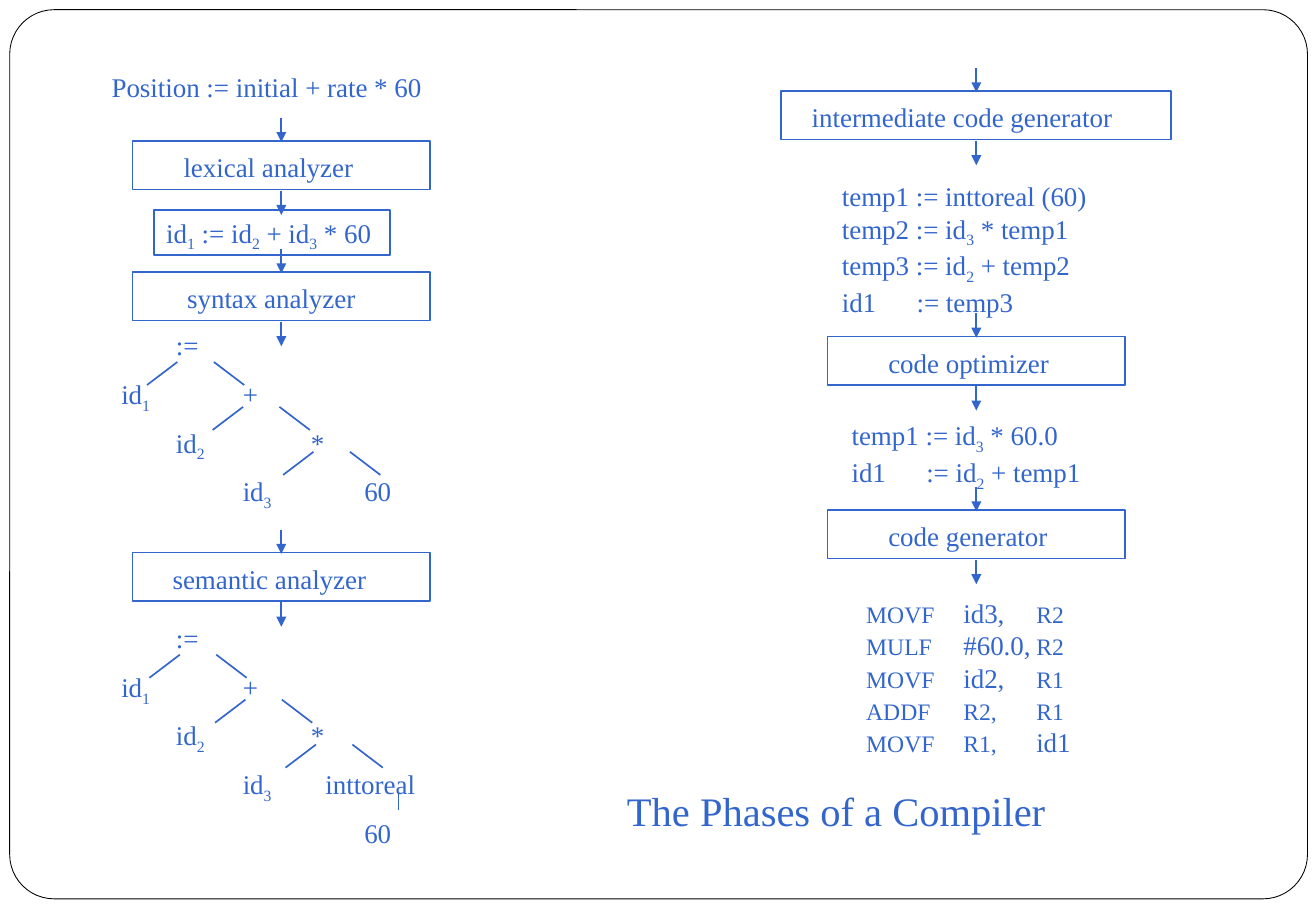
from collections.abc import Iterator
from dataclasses import dataclass

from pptx import Presentation
from pptx.dml.color import RGBColor
from pptx.enum.shapes import MSO_CONNECTOR, MSO_SHAPE
from pptx.enum.text import MSO_ANCHOR, MSO_AUTO_SIZE, PP_ALIGN
from pptx.oxml.ns import qn
from pptx.oxml.xmlchemy import OxmlElement
from pptx.shapes.autoshape import Shape
from pptx.slide import Slide
from pptx.text.text import TextFrame
from pptx.util import Emu, Inches, Pt

RECTANGLE, ROUNDED = MSO_SHAPE.RECTANGLE, MSO_SHAPE.ROUNDED_RECTANGLE
STRAIGHT = MSO_CONNECTOR.STRAIGHT
TOP, LEFT = MSO_ANCHOR.TOP, PP_ALIGN.LEFT
NO_AUTOFIT = MSO_AUTO_SIZE.NONE

COLORS = {"ink": "3366CC", "frame": "000000"}
FONT = "Times New Roman"
BODY_SIZE, REGISTER_SIZE, TITLE_SIZE = 16, 14, 24

# The page is a grid of square cells, 108.3 columns by 75 rows.
CELL = Inches(0.1)
COLUMNS, ROWS = 108.3, 75
PHASE_HEIGHT = 4
ARROW_LENGTH = 2
NODE_PITCH = 4
FORK_PITCH = 3.7


@dataclass(frozen=True)
class Span:
    text: str
    size: int = BODY_SIZE
    subscript: bool = False


@dataclass(frozen=True)
class Phase:
    name: str
    column: float
    row: float
    indent: float
    width: float = 24.5


@dataclass(frozen=True)
class Listing:
    lines: tuple[str, ...]
    column: float
    row: float
    width: float
    tabs: tuple[float, ...] = ()


@dataclass(frozen=True)
class Node:
    label: str
    column: float
    level: int


PHASES = (
    Phase("lexical analyzer", 10.9, 11.6, 4.2),
    Phase("syntax analyzer", 10.9, 22.4, 4.5),
    Phase("semantic analyzer", 10.9, 45.5, 3.3),
    Phase("intermediate code generator", 64.3, 7.5, 2.5, 32.1),
    Phase("code optimizer", 68.1, 27.7, 5),
    Phase("code generator", 68.1, 42, 5),
)

# An underscore lowers the character after it.
LISTINGS = (
    Listing(("Position := initial + rate * 60",), 8.2, 5.3, 30),
    Listing(("temp1 := inttoreal (60)", "temp2 := id_3 * temp1",
             "temp3 := id_2 + temp2", "id1\t:= temp3"), 68.3, 14.3, 25, (6.15,)),
    Listing(("temp1 := id_3 * 60.0", "id1\t:= id_2 + temp1"), 69.1, 34, 24, (6.15,)),
    Listing(("MOVF\tid3,\tR2", "MULF\t#60.0,\tR2", "MOVF\tid2,\tR1",
             "ADDF\tR2,\tR1", "MOVF\tR1,\tid1"), 70.3, 48.6, 21, (8, 14)),
)

SHARED_NODES = (
    Node(":=", 13.5, 0), Node("id_1", 9, 1), Node("+", 19, 1),
    Node("id_2", 13.5, 2), Node("*", 24.6, 2), Node("id_3", 19, 3),
)
SYNTAX_NODES = SHARED_NODES + (Node("60", 29, 3),)
SEMANTIC_NODES = SHARED_NODES + (Node("inttoreal", 25.8, 3), Node("60", 29, 4))
FORK_COLUMNS = (14.6, 20, 25.8)


def cells(count: float) -> Emu:
    return Emu(round(count * CELL))


def color(name: str) -> RGBColor:
    return RGBColor.from_string(COLORS[name])


def parse_line(line: str) -> Iterator[Span]:
    """Split a line into tabs, subscripts and fields; all-capital fields are smaller."""
    for position, field in enumerate(line.split("\t")):
        if position:
            yield Span("\t")
        size = REGISTER_SIZE if field.isupper() else BODY_SIZE
        for index, piece in enumerate(field.split("_")):
            if index:
                yield Span(piece[0], size, True)
                piece = piece[1:]
            if piece:
                yield Span(piece, size)


def write_lines(frame: TextFrame, lines: tuple[str, ...], tabs: tuple[float, ...] = ()) -> None:
    frame.word_wrap = True
    frame.vertical_anchor = TOP
    for index, line in enumerate(lines):
        paragraph = frame.add_paragraph() if index else frame.paragraphs[0]
        paragraph.alignment = LEFT
        if tabs:
            tab_list = OxmlElement("a:tabLst")
            for tab in tabs:
                stop = OxmlElement("a:tab")
                stop.set("pos", str(cells(tab)))
                stop.set("algn", "l")
                tab_list.append(stop)
            paragraph._p.get_or_add_pPr().append(tab_list)
        for span in parse_line(line):
            run = paragraph.add_run()
            run.text = span.text
            run.font.name = FONT
            run.font.size = Pt(span.size)
            run.font.color.rgb = color("ink")
            if span.subscript:
                run._r.get_or_add_rPr().set("baseline", "-25000")


def add_outline(page: Slide, kind: MSO_SHAPE, column: float, row: float, width: float,
                height: float, line_color: str = "ink", weight: float = 1) -> Shape:
    box = page.shapes.add_shape(kind, cells(column), cells(row), cells(width), cells(height))
    box.shadow.inherit = False
    box.fill.background()
    box.line.color.rgb = color(line_color)
    box.line.width = Pt(weight)
    return box


def add_line(page: Slide, start: tuple[float, float], end: tuple[float, float],
             arrow: bool = False) -> None:
    line = page.shapes.add_connector(STRAIGHT, *map(cells, start + end))
    line.line.color.rgb = color("ink")
    line.line.width = Pt(1)
    if arrow:
        head = OxmlElement("a:tailEnd")
        head.set("type", "triangle")
        line._element.spPr.find(qn("a:ln")).append(head)
    line._element.spPr.append(OxmlElement("a:effectLst"))


def add_listing(page: Slide, listing: Listing) -> None:
    height = 1 + 2.7 * len(listing.lines)
    box = page.shapes.add_textbox(cells(listing.column), cells(listing.row),
                                  cells(listing.width), cells(height))
    write_lines(box.text_frame, listing.lines, listing.tabs)


def add_phase(page: Slide, phase: Phase) -> None:
    """Draw a phase box with an arrow into it and an arrow out of it."""
    box = add_outline(page, RECTANGLE, phase.column, phase.row, phase.width, PHASE_HEIGHT)
    box.text_frame.margin_left = cells(phase.indent)
    box.text_frame.margin_top = cells(0.8)
    write_lines(box.text_frame, (phase.name,))
    center = phase.column + phase.width / 2
    for start in (phase.row - 1.9, phase.row + PHASE_HEIGHT + 0.1):
        add_line(page, (center, start), (center, start + ARROW_LENGTH), arrow=True)


def add_tree(page: Slide, nodes: tuple[Node, ...], row: float, fork_shift: float) -> None:
    for node in nodes:
        add_listing(page, Listing((node.label,), node.column, row + node.level * NODE_PITCH, 11))
    for level, column in enumerate(FORK_COLUMNS):
        left, top = column + fork_shift, row + 3.2 + level * FORK_PITCH
        add_line(page, (left, top), (left - 2.5, top + 1.9))
        add_line(page, (left + 3, top), (left + 5.5, top + 1.9))


def add_title(page: Slide) -> None:
    title = page.shapes.title
    title.left, title.top, title.width, title.height = map(cells, (50.6, 64.2, 40, 5))
    frame = title.text_frame
    frame.text = "The Phases of a Compiler"
    frame.auto_size = NO_AUTOFIT
    frame.word_wrap = True
    frame.vertical_anchor = TOP
    frame.paragraphs[0].alignment = LEFT
    font = frame.paragraphs[0].runs[0].font
    font.name, font.size = FONT, Pt(TITLE_SIZE)
    font.color.rgb = color("ink")


def main() -> None:
    deck = Presentation()
    deck.slide_width, deck.slide_height = cells(COLUMNS), cells(ROWS)
    page = deck.slides.add_slide(deck.slide_layouts[5])
    add_title(page)
    border = add_outline(page, ROUNDED, 0.8, 0.8, COLUMNS - 1.5, ROWS - 1.8, "frame", 0.5)
    border.adjustments[0] = 0.05
    for phase in PHASES:
        add_phase(page, phase)
    for listing in LISTINGS:
        add_listing(page, listing)
    tokens = add_outline(page, RECTANGLE, 12.7, 17.3, 19.4, 3.7)
    write_lines(tokens.text_frame, ("id_1 := id_2 + id_3 * 60",))
    add_tree(page, SYNTAX_NODES, 26.6, 0)
    add_tree(page, SEMANTIC_NODES, 50.7, 0.2)
    add_line(page, (32.8, 65.4), (32.8, 66.7))
    deck.save("out.pptx")


if __name__ == "__main__":
    main()
